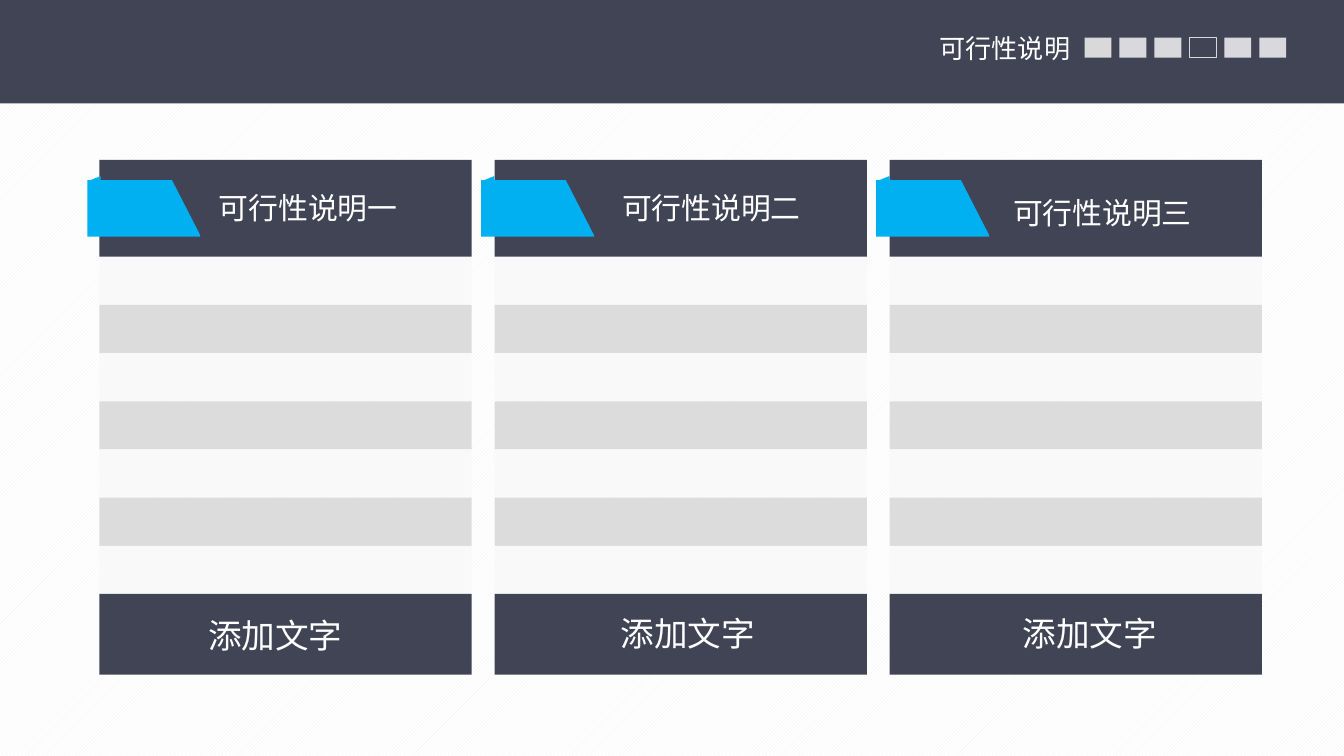
from lxml import etree
from pptx import Presentation
from pptx.dml.color import RGBColor
from pptx.enum.dml import MSO_PATTERN
from pptx.enum.shapes import MSO_SHAPE
from pptx.enum.text import MSO_ANCHOR, MSO_AUTO_SIZE, PP_ALIGN
from pptx.oxml.ns import qn
from pptx.util import Inches, Pt

RECTANGLE = MSO_SHAPE.RECTANGLE
TRIANGLE = MSO_SHAPE.RIGHT_TRIANGLE
DIAGONAL = MSO_PATTERN.LIGHT_UPWARD_DIAGONAL
TOP = MSO_ANCHOR.TOP
LEFT = PP_ALIGN.LEFT
GROW = MSO_AUTO_SIZE.SHAPE_TO_FIT_TEXT

WHITE = RGBColor(0xFF, 0xFF, 0xFF)
HATCH = RGBColor(0xF2, 0xF2, 0xF2)
SLATE = RGBColor(0x41, 0x44, 0x55)
BLUE = RGBColor(0x00, 0xB0, 0xF0)
PALE = RGBColor(0xF9, 0xF9, 0xF9)
GREY = RGBColor(0xDC, 0xDC, 0xDC)
MARKER = RGBColor(0xD9, 0xD9, 0xD9)
FONT = "Noto Sans CJK SC"

# Widescreen slide, 16:9
WIDTH = 10
HEIGHT = WIDTH * 9 / 16
BAR_HEIGHT = 0.77

# Card grid
CARD_LEFT, CARD_TOP = 0.74, 1.19
CARD_WIDTH, CARD_HEIGHT = 2.77, 3.83
CARD_STEP = 2.94
HEAD_HEIGHT, FOOT_HEIGHT = 0.72, 0.6
ROWS = 7

# Heading, ribbon overhang, heading offset and footer label offset
CARDS = [
    ("可行性说明一", 0.09, (0.79, 0.17), (0.71, 0.11)),
    ("可行性说明二", 0.1, (0.85, 0.17), (0.84, 0.09)),
    ("可行性说明三", 0.1, (0.82, 0.21), (0.89, 0.09)),
]

# Progress markers
MARKERS, CURRENT = 6, 3
MARKER_LEFT, MARKER_STEP = 8.07, 0.26


def paint(shape, fill=None, alpha=None, line=None):
    shape.shadow.inherit = False
    if fill is None:
        shape.fill.background()
    else:
        shape.fill.solid()
        shape.fill.fore_color.rgb = fill
    if alpha is not None:
        color = shape._element.spPr.find(qn("a:solidFill"))[0]
        etree.SubElement(color, qn("a:alpha"), val=str(alpha * 1000))
    if line is None:
        shape.line.fill.background()
    else:
        shape.line.color.rgb = line
        shape.line.width = Pt(0.5)


def add_box(shapes, left, top, width, height, kind=RECTANGLE, **style):
    shape = shapes.add_shape(kind, Inches(left), Inches(top), Inches(width), Inches(height))
    paint(shape, **style)
    return shape


def write(shape, text, size, color=WHITE, wrap=True):
    frame = shape.text_frame
    frame.word_wrap = wrap
    frame.auto_size = GROW
    frame.vertical_anchor = TOP
    paragraph = frame.paragraphs[0]
    paragraph.alignment = LEFT
    run = paragraph.add_run()
    run.text = text
    run.font.size = Pt(size)
    run.font.color.rgb = color
    run.font.name = FONT
    etree.SubElement(run._r.get_or_add_rPr(), qn("a:ea"), typeface=FONT)


def add_ribbon(shapes, left, top):
    """Blue tab with a slanted right edge and a small fold above it."""
    outline = [(0, 0.42), (0.84, 0.42), (0.84, 0.41), (0.63, 0), (0, 0)]
    points = [(Inches(left + x), Inches(top + y)) for x, y in outline]
    builder = shapes.build_freeform(*points[0])
    builder.add_line_segments(points[1:], close=True)
    paint(builder.convert_to_shape(), fill=BLUE)
    fold = add_box(shapes, left, top - 0.03, 0.1, 0.04, kind=TRIANGLE, fill=BLUE)
    fold._element.spPr.get_or_add_xfrm().set("flipH", "1")


def add_card(slide, left, top, width, height, heading, overhang, heading_offset, label_offset):
    # Striped rows
    rows_top = top + HEAD_HEIGHT
    foot_top = top + height - FOOT_HEIGHT
    row_height = (foot_top - rows_top) / ROWS
    for row in range(ROWS):
        add_box(slide.shapes, left, rows_top + row * row_height, width, row_height,
                fill=GREY if row % 2 else PALE)

    # Heading
    head = slide.shapes.add_group_shape().shapes
    add_box(head, left, top, width, HEAD_HEIGHT, fill=SLATE)
    add_ribbon(head, left - overhang, top + 0.15)
    x, y = heading_offset
    caption = head.add_textbox(Inches(left + x), Inches(top + y), Inches(1.85), Inches(0.37))
    write(caption, heading, size=16)

    # Footer
    foot = slide.shapes.add_group_shape().shapes
    add_box(foot, left, foot_top, width, FOOT_HEIGHT, fill=SLATE)
    x, y = label_offset
    label = add_box(foot, left + x, foot_top + y, 1.28, 0.4, fill=SLATE)
    write(label, "添加文字", size=18)


def add_header(slide, width, height):
    add_box(slide.shapes, 0, 0, width, height, fill=SLATE)

    # Title, brought in front of the bar
    title = slide.shapes.title
    title.left, title.top = Inches(6.89), Inches(0.19)
    title.width, title.height = Inches(1.18), Inches(0.34)
    write(title, "可行性说明", size=14, wrap=False)
    slide.shapes._spTree.append(title._element)

    # Progress markers
    for index in range(MARKERS):
        if index == CURRENT:
            style = {"line": MARKER}
        elif index == 0:
            style = {"fill": MARKER}
        else:
            style = {"fill": WHITE, "alpha": 80}
        add_box(slide.shapes, MARKER_LEFT + index * MARKER_STEP, 0.28, 0.2, 0.15, **style)


def main():
    presentation = Presentation()
    presentation.slide_width = Inches(WIDTH)
    presentation.slide_height = Inches(HEIGHT)
    slide = presentation.slides.add_slide(presentation.slide_layouts[5])

    background = slide.background.fill
    background.patterned()
    background.pattern = DIAGONAL
    background.fore_color.rgb = HATCH
    background.back_color.rgb = WHITE

    add_header(slide, WIDTH, BAR_HEIGHT)
    for column, card in enumerate(CARDS):
        add_card(slide, CARD_LEFT + column * CARD_STEP, CARD_TOP, CARD_WIDTH, CARD_HEIGHT, *card)
    presentation.save("out.pptx")


if __name__ == "__main__":
    main()
